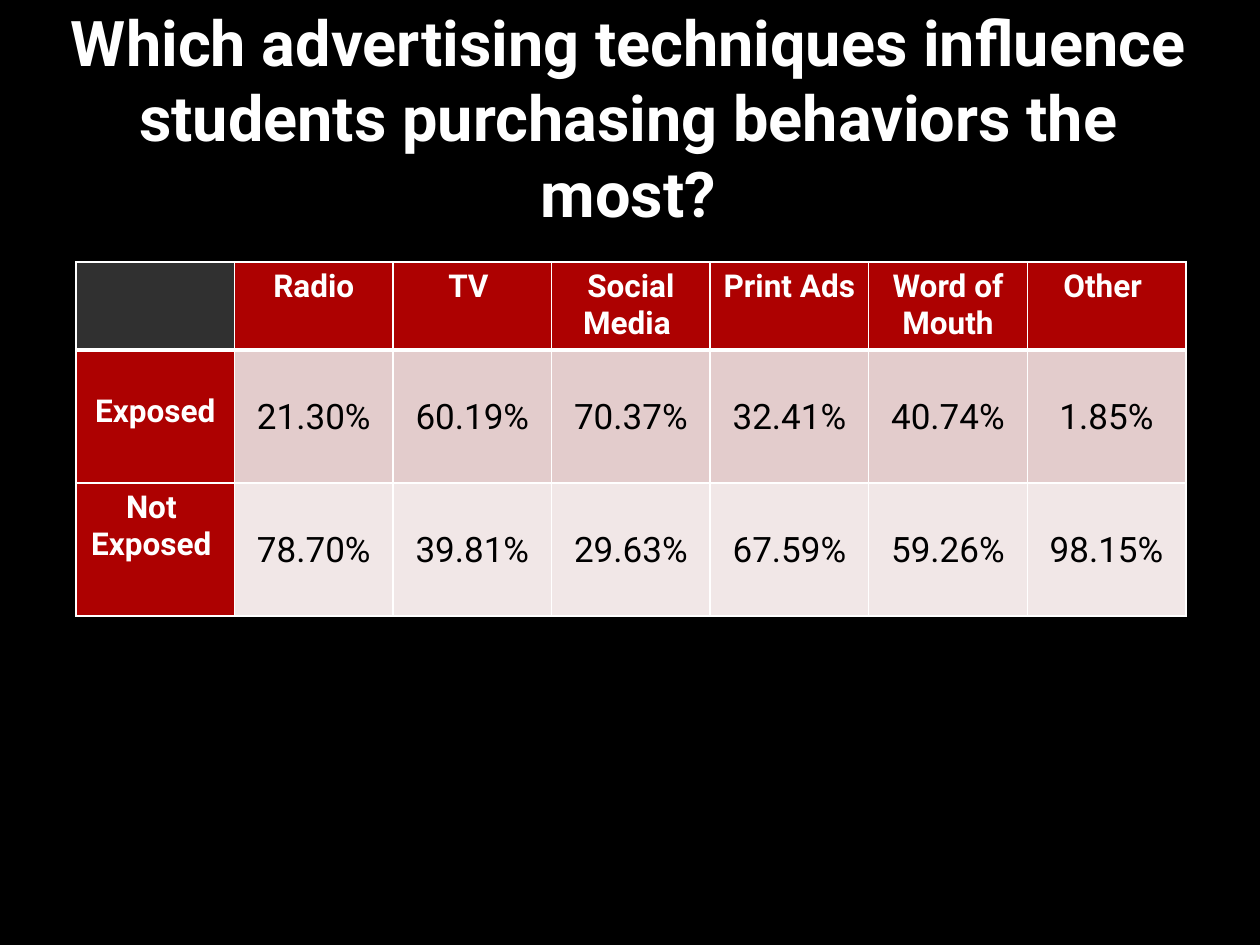
"""Build a slide with a table of advertising exposure by technique."""
from lxml import etree
from pptx import Presentation
from pptx.dml.color import RGBColor
from pptx.enum.text import MSO_ANCHOR, MSO_AUTO_SIZE, PP_ALIGN
from pptx.oxml.ns import qn
from pptx.util import Pt

CENTER = PP_ALIGN.CENTER
TOP, MIDDLE = MSO_ANCHOR.TOP, MSO_ANCHOR.MIDDLE
NO_FIT = MSO_AUTO_SIZE.NONE

TITLE = "Which advertising techniques influence students purchasing behaviors the most?"
ROWS = [
    ["", "Radio", "TV ", "Social Media ", "Print Ads", "Word of Mouth", "Other "],
    ["Exposed", "21.30%", "60.19%", "70.37%", "32.41%", "40.74%", "1.85%"],
    ["Not \nExposed ", "78.70%", "39.81%", "29.63%", "67.59%", "59.26%", "98.15%"],
]
COLORS = {"back": "000000", "white": "FFFFFF", "black": "000000", "corner": "303030",
          "label": "AD0101", "band1": "E3CCCC", "band2": "F1E7E7"}
TITLE_FONT = {"name": "Roboto", "size": Pt(36), "bold": True}
LABEL_FONT = {"name": "Roboto", "size": Pt(18), "bold": True}
VALUE_FONT = {"name": "Roboto", "size": Pt(20), "bold": False}

SCALE = 914400 / 126
SLIDE_SIZE = (1260, 945)
TITLE_BOX = (52, 18, 1153, 197)
TABLE_LEFT, TABLE_TOP, TABLE_WIDTH = 76, 262, 1110
ROW_HEIGHTS = [88, 133, 133]
LABEL_INSETS = [6, 43, 6]
VALUE_INSET = 47


def emu(px):
    return round(px * SCALE)


def rgb(name):
    return RGBColor.from_string(COLORS[name])


def format_text(frame, font, color):
    for para in frame.paragraphs:
        para.alignment = CENTER
        for span in para.runs:
            for key, value in font.items():
                setattr(span.font, key, value)
            span.font.color.rgb = rgb(color)


def add_borders(cell, widths):
    props = cell._tc.get_or_add_tcPr()
    for index, (side, width) in enumerate(widths.items()):
        line = etree.Element(qn(f"a:{side}"), w=str(Pt(width)))
        fill = etree.SubElement(line, qn("a:solidFill"))
        etree.SubElement(fill, qn("a:srgbClr"), val=COLORS["white"])
        props.insert(index, line)


def add_title(page):
    title = page.shapes.title
    title.left, title.top, title.width, title.height = map(emu, TITLE_BOX)
    frame = title.text_frame
    frame.text = TITLE
    frame.word_wrap = True
    frame.auto_size = NO_FIT
    frame.vertical_anchor = MIDDLE
    format_text(frame, TITLE_FONT, "white")


def fill_cell(cell, text, row, column):
    is_label = row == 0 or column == 0
    cell.text = text
    cell.vertical_anchor = TOP
    cell.margin_top = emu(LABEL_INSETS[row] if is_label else VALUE_INSET)
    if is_label:
        fill = "label" if row or column else "corner"
        format_text(cell.text_frame, LABEL_FONT, "white")
    else:
        fill = f"band{row}"
        format_text(cell.text_frame, VALUE_FONT, "black")
    cell.fill.solid()
    cell.fill.fore_color.rgb = rgb(fill)
    add_borders(cell, {"lnL": 1, "lnR": 1, "lnT": 3 if row == 1 else 1,
                       "lnB": 3 if row == 0 else 1})


def add_exposure_table(page):
    frame = page.shapes.add_table(
        len(ROWS), len(ROWS[0]), emu(TABLE_LEFT), emu(TABLE_TOP),
        emu(TABLE_WIDTH), emu(sum(ROW_HEIGHTS)))
    table = frame.table
    table.horz_banding = False
    for column in table.columns:
        column.width = emu(TABLE_WIDTH / len(ROWS[0]))
    for row, texts in enumerate(ROWS):
        table.rows[row].height = emu(ROW_HEIGHTS[row])
        for column, text in enumerate(texts):
            fill_cell(table.cell(row, column), text, row, column)


def main():
    deck = Presentation()
    deck.slide_width, deck.slide_height = map(emu, SLIDE_SIZE)
    page = deck.slides.add_slide(deck.slide_layouts[5])
    page.background.fill.solid()
    page.background.fill.fore_color.rgb = rgb("back")
    add_title(page)
    add_exposure_table(page)
    deck.save("out.pptx")


if __name__ == "__main__":
    main()
